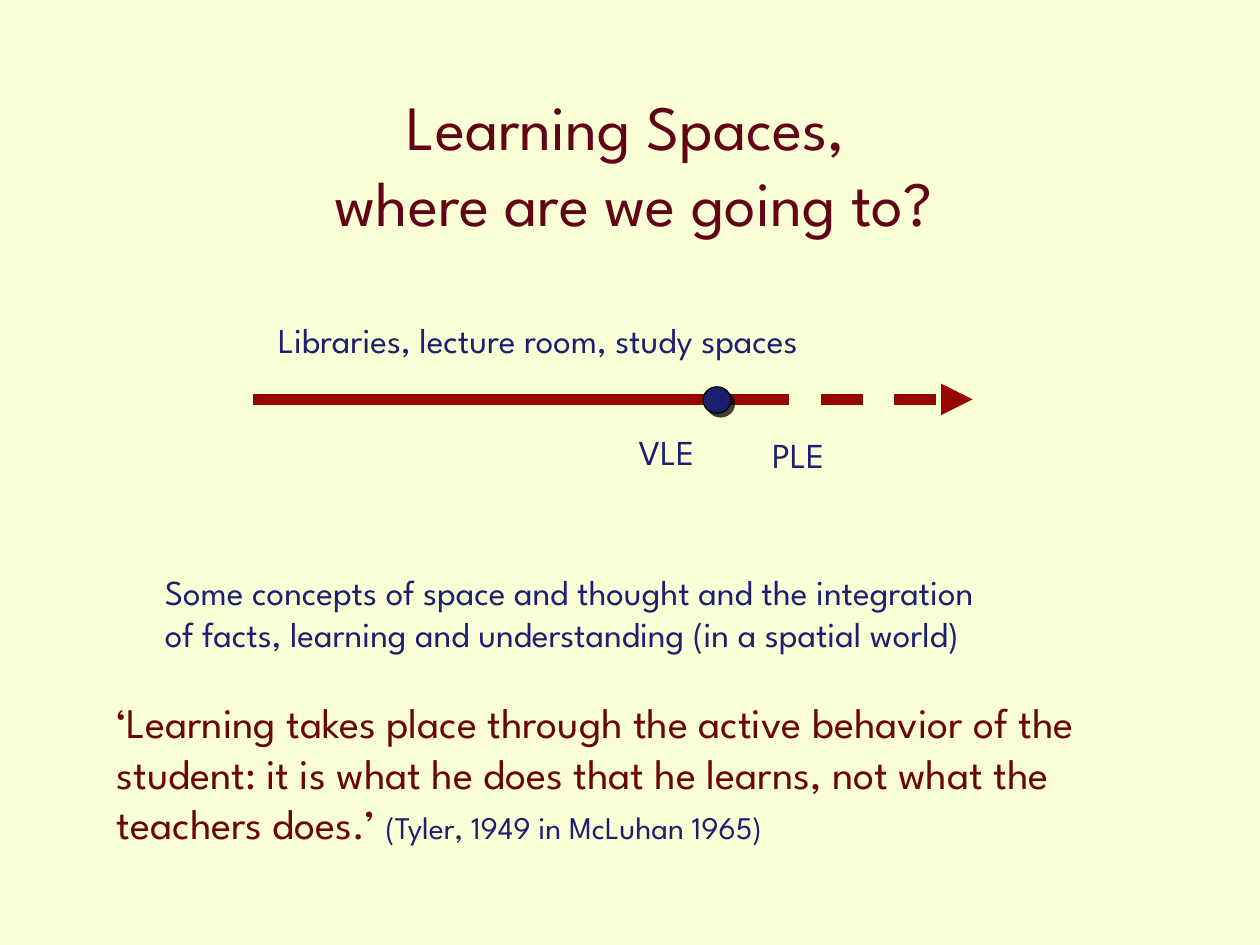
from dataclasses import dataclass
from typing import Optional

import pptx
import pptx.dml.color
import pptx.enum.dml
import pptx.enum.shapes
import pptx.enum.text
import pptx.oxml
import pptx.oxml.ns
import pptx.util
from pptx.dml.color import RGBColor
from pptx.util import Inches, Pt

FONT = "League Spartan"
CREAM = RGBColor(0xFA, 0xFF, 0xD6)
WINE = RGBColor(0x63, 0x04, 0x16)
MAROON = RGBColor(0x6B, 0x05, 0x02)
RED = RGBColor(0x98, 0x06, 0x04)
NAVY = RGBColor(0x1E, 0x1F, 0x72)
BLACK = RGBColor(0, 0, 0)
ALIGN = pptx.enum.text.PP_ALIGN
ANCHOR = pptx.enum.text.MSO_ANCHOR
AXIS_Y = 3.17


@dataclass
class Run:
    text: str
    size: int = 20
    color: RGBColor = NAVY


@dataclass
class TextBox:
    left: float
    top: float
    width: float
    height: float
    paragraphs: list[list[Run]]
    wrap: bool = False
    align: Optional[ALIGN] = None
    anchor: ANCHOR = ANCHOR.TOP


TEXTS = [
    TextBox(0.78, 0.67, 8.5, 1.25,
            [[Run("Learning Spaces, \vwhere are we going to?", 36, WINE)]],
            wrap=True, align=ALIGN.CENTER, anchor=ANCHOR.MIDDLE),
    TextBox(2.11, 2.48, 5, 0.44, [[Run("Libraries, lecture room, study spaces")]]),
    TextBox(4.97, 3.37, 0.67, 0.44, [[Run("VLE")]]),
    TextBox(6.03, 3.39, 0.67, 0.44, [[Run("PLE")]]),
    TextBox(1.21, 4.48, 7.64, 0.77, [
        [Run("Some concepts of space and thought and the integration")],
        [Run("of facts, learning and understanding (in a spatial world)")],
    ]),
    TextBox(0.83, 5.48, 8.77, 1.3, [[
        Run("‘Learning takes place through the active behavior of the student: "
            "it is what he does that he learns, not what the teachers does.’ ", 24, MAROON),
        Run("(Tyler, 1949 in McLuhan 1965)", 18),
    ]], wrap=True),
]


def add_xml(parent, xml: str) -> None:
    """Append a DrawingML element; the tag is written without its namespace declaration."""
    tag, rest = xml[1:].split(" ", 1)
    parent.append(pptx.oxml.parse_xml(f"<{tag} {pptx.oxml.ns.nsdecls('a')} {rest}"))


def add_text(s: pptx.slide.Slide, box: TextBox) -> None:
    sp = s.shapes.add_textbox(Inches(box.left), Inches(box.top),
                              Inches(box.width), Inches(box.height))
    tf = sp.text_frame
    tf.word_wrap = box.wrap
    tf.vertical_anchor = box.anchor
    for i, runs in enumerate(box.paragraphs):
        p = tf.add_paragraph() if i else tf.paragraphs[0]
        p.alignment = box.align
        for run in runs:
            for j, line in enumerate(run.text.split("\v")):
                if j:
                    p.add_line_break()
                r = p.add_run()
                r.text = line
                r.font.name = FONT
                r.font.size = Pt(run.size)
                r.font.color.rgb = run.color


def add_timeline_part(s: pptx.slide.Slide, start: float, end: float, future: bool) -> None:
    """Draw a solid stretch, or a dashed one with an arrowhead for the future."""
    line = s.shapes.add_connector(pptx.enum.shapes.MSO_CONNECTOR.STRAIGHT,
                                  Inches(start), Inches(AXIS_Y), Inches(end), Inches(AXIS_Y))
    line.line.color.rgb = RED
    line.line.width = Pt(6)
    if future:
        line.line.dash_style = pptx.enum.dml.MSO_LINE.DASH
        add_xml(line.line._get_or_add_ln(), '<a:tailEnd type="triangle"/>')
    add_xml(line._element.spPr, "<a:effectLst />")


def add_present_marker(s: pptx.slide.Slide) -> None:
    dot = s.shapes.add_shape(pptx.enum.shapes.MSO_SHAPE.OVAL,
                             Inches(5.58), Inches(3.07), Inches(0.22), Inches(0.21))
    dot.fill.solid()
    dot.fill.fore_color.rgb = NAVY
    dot.line.color.rgb = BLACK
    dot.line.width = Pt(0.75)
    add_xml(dot._element.spPr,
            f'<a:effectLst ><a:outerShdw blurRad="0" dist="{Pt(3)}" dir="{45 * 60000}" '
            'algn="ctr" rotWithShape="0"><a:srgbClr val="000000"><a:alpha val="75000"/>'
            '</a:srgbClr></a:outerShdw></a:effectLst>')


def main() -> None:
    prs = pptx.Presentation()
    prs.slide_width, prs.slide_height = Inches(10), Inches(7.5)
    s = prs.slides.add_slide(prs.slide_layouts[6])
    s.background.fill.solid()
    s.background.fill.fore_color.rgb = CREAM
    add_timeline_part(s, 2.01, 5.93, future=False)
    add_timeline_part(s, 5.93, 7.72, future=True)
    add_present_marker(s)
    for box in TEXTS:
        add_text(s, box)
    prs.save("out.pptx")


if __name__ == "__main__":
    main()
